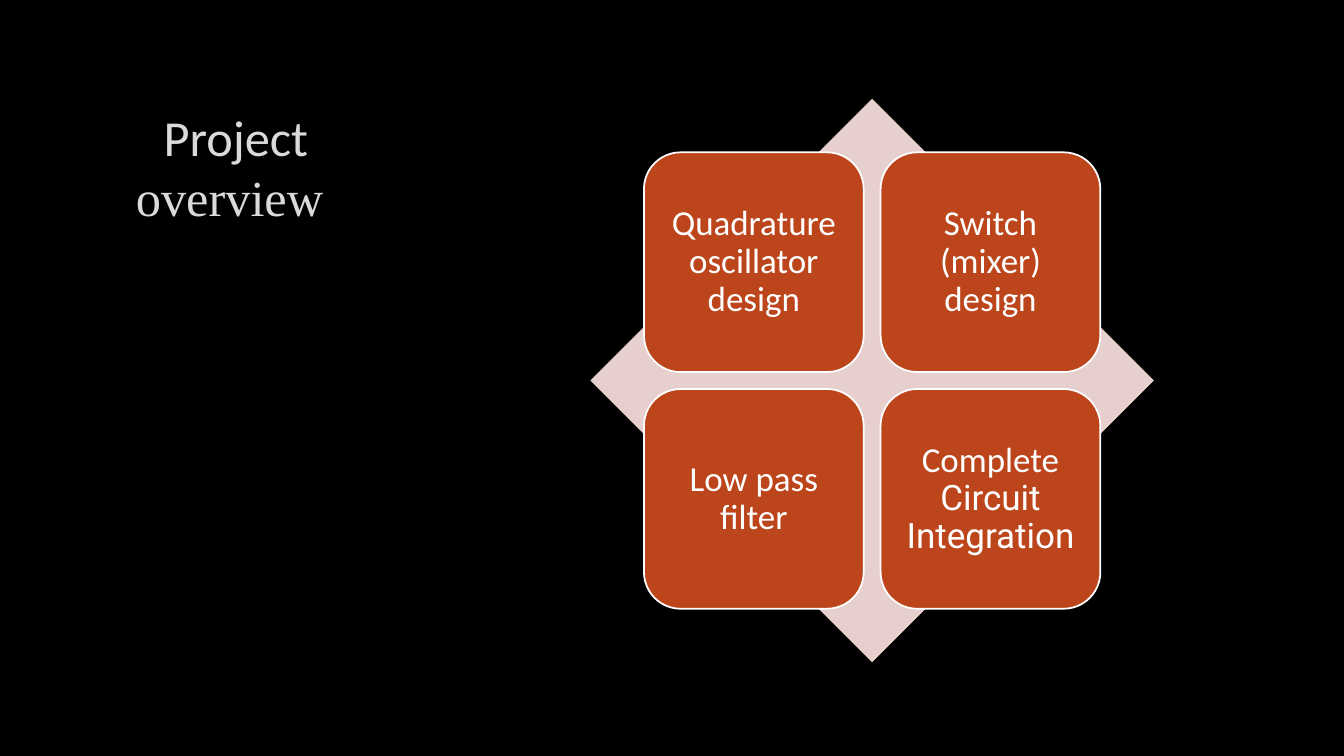
from pptx import Presentation
from pptx.dml.color import RGBColor
from pptx.enum import shapes, text
from pptx.util import Cm, Pt

# Content: each text is a list of (words, font)
TITLE = [("Project ", "Calibri"), ("overview ", "Times New Roman")]
STAGES = [
    [("Quadrature oscillator design", "Calibri")],
    [("Switch (mixer) design", "Calibri")],
    [("Low pass filter", "Calibri")],
    [("Complete ", "Calibri"), ("Circuit Integration", "Roboto")],
]

BLACK = RGBColor(0x00, 0x00, 0x00)
WHITE = RGBColor(0xFF, 0xFF, 0xFF)
SILVER = RGBColor(0xDA, 0xDA, 0xDA)
BLUSH = RGBColor(0xE7, 0xCF, 0xCD)
RUST = RGBColor(0xBC, 0x45, 0x1B)

# Layout in centimetres; the tiles scale with the diamond
DIAMOND_LEFT, DIAMOND_TOP, DIAMOND_SIZE = 14.88, 2.49, 14.2
TILE_SIZE = 0.39 * DIAMOND_SIZE
TILE_OFFSET = 0.095 * DIAMOND_SIZE
TILE_PITCH = 0.42 * DIAMOND_SIZE
COLUMNS = 2


def write(box, parts, size, color):
    box.text_frame.word_wrap = True
    para = box.text_frame.paragraphs[0]
    para.alignment = text.PP_ALIGN.CENTER
    para.font.size = Pt(size)
    para.font.color.rgb = color
    for words, font in parts:
        span = para.add_run()
        span.text = words
        span.font.name = font
    return para


def add_square(page, kind, left, top, size, color):
    square = page.shapes.add_shape(kind, Cm(left), Cm(top), Cm(size), Cm(size))
    square.shadow.inherit = False
    square.fill.solid()
    square.fill.fore_color.rgb = color
    square.line.fill.background()
    return square


deck = Presentation()
deck.slide_width, deck.slide_height = Cm(33.87), Cm(19.05)
page = deck.slides.add_slide(deck.slide_layouts[6])
page.background.fill.solid()
page.background.fill.fore_color.rgb = BLACK

# Title
title = page.shapes.add_textbox(Cm(1.78), Cm(2.54), Cm(8.33), Cm(11.56))
write(title, TITLE, 36, SILVER)

# Diamond behind the tiles
add_square(page, shapes.MSO_SHAPE.DIAMOND,
           DIAMOND_LEFT, DIAMOND_TOP, DIAMOND_SIZE, BLUSH)

# Grid of project stages
for index, stage in enumerate(STAGES):
    row, column = divmod(index, COLUMNS)
    tile = add_square(page, shapes.MSO_SHAPE.ROUNDED_RECTANGLE,
                      DIAMOND_LEFT + TILE_OFFSET + column * TILE_PITCH,
                      DIAMOND_TOP + TILE_OFFSET + row * TILE_PITCH,
                      TILE_SIZE, RUST)
    tile.line.color.rgb = WHITE
    tile.line.width = Pt(1.25)
    frame = tile.text_frame
    frame.margin_left = frame.margin_right = Cm(0.25)
    frame.margin_top = frame.margin_bottom = Cm(0.25)
    frame.vertical_anchor = text.MSO_ANCHOR.MIDDLE
    write(tile, stage, 25, WHITE).line_spacing = 0.9

deck.save("out.pptx")
